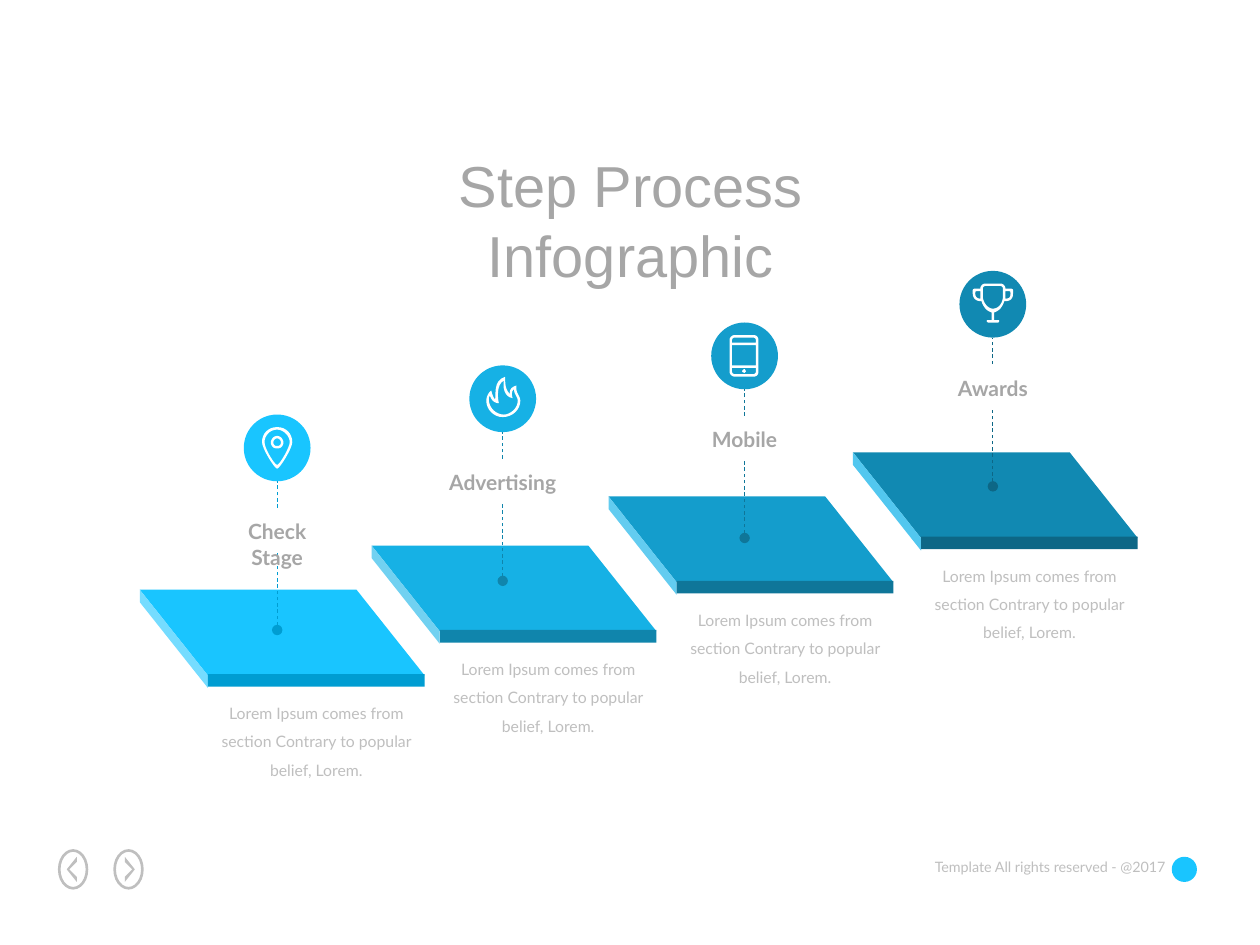
from dataclasses import dataclass

from lxml.etree import SubElement
from pptx import Presentation
from pptx.dml.color import RGBColor
from pptx.enum.dml import MSO_LINE
from pptx.enum.shapes import MSO_CONNECTOR, MSO_SHAPE
from pptx.enum.text import MSO_ANCHOR as Anchor, MSO_AUTO_SIZE as AutoSize, PP_ALIGN as Align
from pptx.oxml.ns import qn
from pptx.util import Inches, Pt

Point = tuple[float, float]


@dataclass(frozen=True)
class Theme:
    heading: str = "A6A6A6"
    muted: str = "BFBFBF"
    icon: str = "FFFFFF"
    accent: str = "19C5FF"
    title_font: str = "Arial"
    text_font: str = "Lato"
    title_size: float = 33
    label_size: float = 12
    body_size: float = 9
    footer_size: float = 8.2


@dataclass(frozen=True)
class Step:
    label: str
    tile: Point          # top left corner of the slab
    badge: Point         # centre x and top of the round badge
    top_color: str
    side_color: str
    front_color: str
    icon: str            # path in hundredths of an inch from the badge point


THEME = Theme()
DESCRIPTION = "Lorem Ipsum comes from section Contrary to popular belief, Lorem."
BADGE = 0.53
SLAB_WIDTH, SLANT, DEPTH, THICKNESS = 1.72, 0.54, 0.68, 0.1

PIN = """M0,10 C-7,10,-12,15,-12,22 C-12,27,-2,43,0,43 C2,43,12,27,12,22 C12,15,7,10,0,10
M0,40 C-2,40,-10,27,-10,22 C-10,17,-6,12,0,12 C5,12,10,17,10,22 C10,26,2,40,0,40
M0,17 C-3,17,-5,20,-5,22 C-5,25,-3,27,0,27 C3,27,5,25,5,22 C5,20,3,17,0,17
M0,25 C-2,25,-3,24,-3,22 C-3,21,-2,19,0,19 C2,19,3,21,3,22 C3,24,2,25,0,25"""
FLAME = """M11,16 C6,17,5,21,6,23 C2,19,2,15,2,9 C-8,12,-5,24,-6,27 C-8,25,-9,20,-9,20
C-11,21,-13,25,-13,28 C-13,35,-7,41,0,41 C8,41,14,35,14,28 C14,24,10,22,11,16
M1,39 C-5,39,-11,34,-11,27 C-11,26,-11,25,-10,24 C-10,25,-8,30,-3,30 C-4,26,-5,15,1,12
C0,17,1,25,8,26 C7,24,7,20,9,19 C9,23,12,25,12,28 C12,34,6,39,1,39"""
PHONE = """M7,10 L-8,10 C-10,10,-12,12,-12,14 L-12,39 C-12,41,-10,43,-8,43 L7,43
C10,43,11,41,11,39 L11,14 C11,12,10,10,7,10
M9,39 C9,40,8,41,7,41 L-8,41 C-9,41,-10,40,-10,39 L-10,36 L9,36
M9,34 L-10,34 L-10,18 L9,18
M9,16 L-10,16 L-10,14 C-10,13,-9,12,-8,12 L7,12 C8,12,9,13,9,14
M0,40 C0,40,1,39,1,39 C1,38,0,37,0,37 C-1,37,-2,38,-2,39 C-2,39,-1,40,0,40"""
TROPHY = """M10,14 C10,12,8,10,6,10 L-6,10 C-8,10,-10,12,-10,14 C-17,14,-16,14,-16,18
C-16,22,-13,24,-10,24 L-9,24 C-8,28,-5,32,-1,33 L-1,39 L-4,39 C-4,39,-5,39,-5,40
C-5,40,-4,41,-4,41 L4,41 C5,41,5,40,5,40 C5,39,5,39,4,39 L1,39 L1,33 C5,32,8,28,9,24
L10,24 C14,24,16,22,16,18 C16,14,17,14,10,14
M-10,22 C-12,22,-14,21,-14,18 C-14,16,-14,16,-10,16
M8,20 C8,25,5,30,0,30 C-4,30,-8,25,-8,20 L-8,14 C-8,13,-7,12,-6,12 L6,12 C7,12,8,13,8,14
M10,22 L10,16 C14,16,14,16,14,18 C14,21,13,22,10,22"""

STEPS = [
    Step("Check Stage", (1.11, 4.68), (2.2, 3.29), "19C5FF", "75DCFF", "009DD2", PIN),
    Step("Advertising", (2.95, 4.33), (3.99, 2.9), "16B1E5", "71D1F1", "1085AC", FLAME),
    Step("Mobile", (4.83, 3.94), (5.91, 2.56), "149DCC", "63CCF0", "0F7699", PHONE),
    Step("Awards", (6.77, 3.59), (7.88, 2.15), "1189B2", "52C7EF", "0D6786", TROPHY),
]


def paint(shape, color: str) -> None:
    shape.shadow.inherit = False
    shape.fill.solid()
    shape.fill.fore_color.rgb = RGBColor.from_string(color)
    shape.line.fill.background()


def add_preset(slide, kind, left: float, top: float, width: float, height: float, color: str):
    shape = slide.shapes.add_shape(kind, Inches(left), Inches(top), Inches(width), Inches(height))
    paint(shape, color)
    return shape


def add_outline(slide, contours: list[list[Point]], color: str) -> None:
    scaled = [[(Inches(x), Inches(y)) for x, y in contour] for contour in contours]
    builder = slide.shapes.build_freeform(*scaled[0][0])
    builder.add_line_segments(scaled[0][1:], close=True)
    for start, *rest in scaled[1:]:
        builder.move_to(*start)
        builder.add_line_segments(rest, close=True)
    paint(builder.convert_to_shape(), color)


def trace(icon: str, origin: Point, steps: int = 8) -> list[list[Point]]:
    """Turn an icon's M, L and C commands into closed contours."""
    contours: list[list[Point]] = []
    for token in icon.split():
        numbers = [float(n) / 100 for n in token[1:].split(",")]
        points = [(origin[0] + x, origin[1] + y) for x, y in zip(numbers[::2], numbers[1::2])]
        if token[0] == "M":
            contours.append(points)
        elif token[0] == "L":
            contours[-1] += points
        else:
            curve = [contours[-1][-1], *points]
            for t in (i / steps for i in range(1, steps + 1)):
                weights = ((1 - t) ** 3, 3 * t * (1 - t) ** 2, 3 * t * t * (1 - t), t ** 3)
                contours[-1].append(tuple(sum(w * p[axis] for w, p in zip(weights, curve))
                                          for axis in (0, 1)))
    return contours


def write(frame, text: str, font: str, size: float, color: str,
          align=Align.CENTER, wrap: bool = False, bold: bool = False, spacing=None) -> None:
    frame.text = text
    frame.word_wrap = wrap
    frame.auto_size = AutoSize.SHAPE_TO_FIT_TEXT
    frame.vertical_anchor = Anchor.TOP
    paragraph = frame.paragraphs[0]
    paragraph.alignment = align
    paragraph.line_spacing = spacing
    style = paragraph.runs[0].font
    style.name, style.size, style.bold = font, Pt(size), bold
    style.color.rgb = RGBColor.from_string(color)


def add_text(slide, left: float, top: float, width: float, height: float, *args, **options):
    box = slide.shapes.add_textbox(Inches(left), Inches(top), Inches(width), Inches(height))
    write(box.text_frame, *args, **options)
    return box


def add_stem(slide, x: float, start: float, end: float, color: str, dot: bool = False) -> None:
    stem = slide.shapes.add_connector(MSO_CONNECTOR.STRAIGHT, Inches(x), Inches(start),
                                      Inches(x), Inches(end))
    stem.line.color.rgb = RGBColor.from_string(color)
    stem.line.width = Pt(0.5)
    stem.line.dash_style = MSO_LINE.DASH
    if dot:
        SubElement(stem.line._get_or_add_ln(), qn("a:headEnd"), type="oval")
    SubElement(stem._element.spPr, qn("a:effectLst"))


def add_step(slide, step: Step) -> None:
    # Slab: top face, left side, front edge
    x, y = step.tile
    front_x, front_y = x + SLANT, y + DEPTH
    add_outline(slide, [[(front_x, front_y), (front_x + SLAB_WIDTH, front_y),
                         (x + SLAB_WIDTH, y), (x, y)]], step.top_color)
    add_outline(slide, [[(x, y), (x, y + THICKNESS), (front_x, front_y + THICKNESS),
                         (front_x, front_y)]], step.side_color)
    add_preset(slide, MSO_SHAPE.RECTANGLE, front_x, front_y - 0.01, SLAB_WIDTH, THICKNESS,
               step.front_color)
    # Badge, icon and stems
    center, top = step.badge
    add_preset(slide, MSO_SHAPE.OVAL, center - BADGE / 2, top, BADGE, BADGE, step.top_color)
    add_outline(slide, trace(step.icon, step.badge), THEME.icon)
    add_stem(slide, center, top + 1.71, top + 1.09, step.front_color, dot=True)
    add_stem(slide, center, top + 0.74, top + BADGE, step.front_color)
    # Label and description
    add_text(slide, center - 0.55, top + 0.78, 1.1, 0.3, step.label, THEME.text_font,
             THEME.label_size, THEME.heading, bold=True)
    description = add_text(slide, front_x, y + 0.78, SLAB_WIDTH, 0.78, DESCRIPTION,
                           THEME.text_font, THEME.body_size, THEME.muted, wrap=True, spacing=1.5)
    description.text_frame.margin_left = description.text_frame.margin_right = Inches(0.08)


def add_nav_button(slide, center: float, direction: int) -> None:
    middle = 6.9
    ring = add_preset(slide, MSO_SHAPE.OVAL, center - 0.11, middle - 0.15, 0.22, 0.3, THEME.muted)
    ring.fill.background()
    ring.line.color.rgb = RGBColor.from_string(THEME.muted)
    ring.line.width = Pt(1.5)
    chevron = [(-0.03, -0.06), (0.03, 0), (-0.03, 0.06), (-0.03, 0.1), (0.05, 0), (-0.03, -0.1)]
    add_outline(slide, [[(center + direction * x, middle + y) for x, y in chevron]], THEME.muted)


def main() -> None:
    deck = Presentation()
    deck.slide_width, deck.slide_height = Inches(10), Inches(7.5)
    slide = deck.slides.add_slide(deck.slide_layouts[5])

    # Footer
    add_text(slide, 7.25, 6.76, 2.1, 0.24, "Template All rights reserved - @2017",
             THEME.text_font, THEME.footer_size, THEME.muted, align=Align.RIGHT)
    add_nav_button(slide, 0.58, -1)
    add_nav_button(slide, 1.02, 1)
    add_preset(slide, MSO_SHAPE.OVAL, 9.3, 6.8, 0.2, 0.2, THEME.accent)

    # Title
    title = slide.shapes.title
    title.left, title.top, title.width, title.height = map(Inches, (2.39, 1.13, 5.23, 0.66))
    write(title.text_frame, "Step Process Infographic", THEME.title_font, THEME.title_size,
          THEME.heading, wrap=True, spacing=Pt(40))

    for step in STEPS:
        add_step(slide, step)
    deck.save("out.pptx")


if __name__ == "__main__":
    main()
